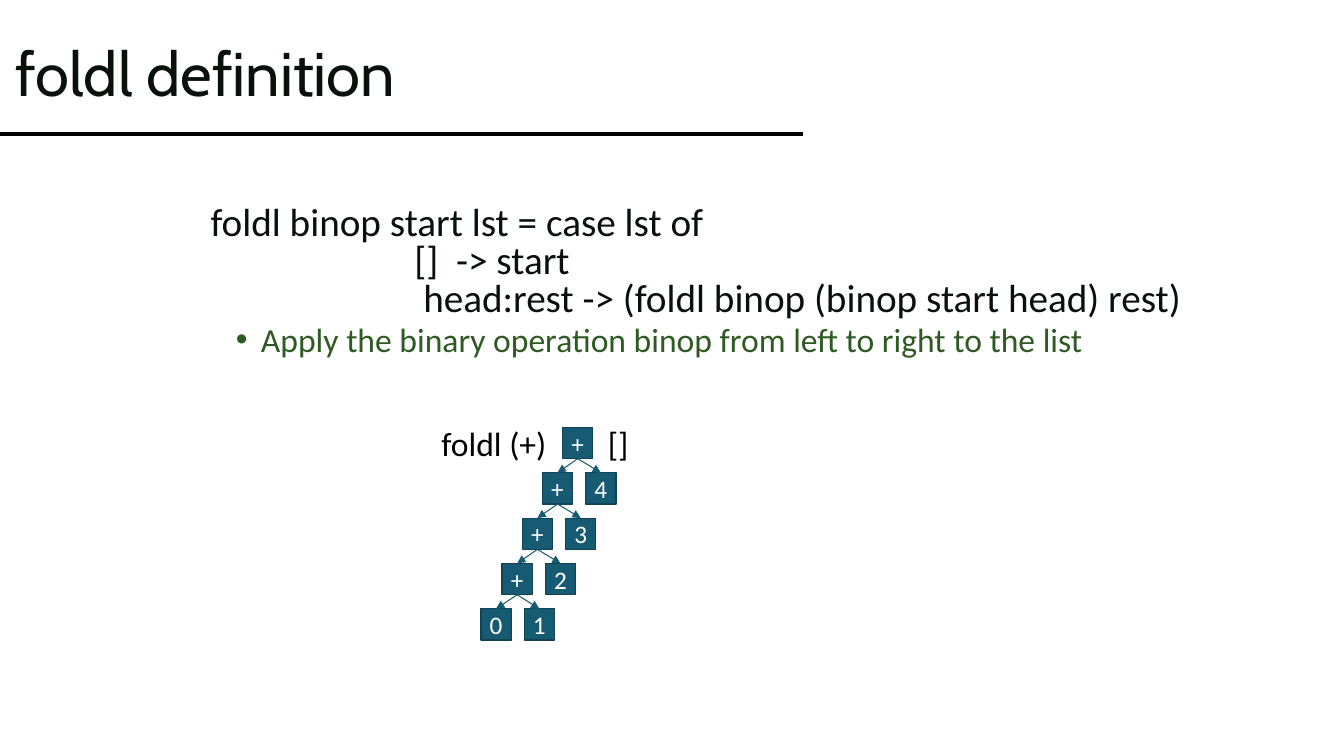
from lxml.etree import SubElement
from pptx import Presentation
from pptx.dml.color import RGBColor
from pptx.enum.shapes import MSO_CONNECTOR, MSO_SHAPE
from pptx.enum.text import MSO_ANCHOR, PP_ALIGN
from pptx.oxml.ns import qn
from pptx.util import Pt

SCALE = 9144
COLORS = {
    "black": "000000", "ink": "08110B", "green": "2F5A24",
    "teal": "175B73", "edge": "114355", "white": "FFFFFF",
}


def px(n):
    return n * SCALE


class Board:
    def __init__(self, slide):
        self.slide = slide
        self.font = "Calibri"

    def color(self, name):
        return RGBColor.from_string(COLORS[name])

    def style(self, para, size, color, font=None):
        for run in para.runs:
            run.font.size = Pt(size)
            run.font.name = font or self.font
            run.font.color.rgb = self.color(color)

    def text(self, box, anchor=MSO_ANCHOR.TOP):
        frame = self.slide.shapes.add_textbox(*map(px, box)).text_frame
        frame.word_wrap = True
        frame.vertical_anchor = anchor
        return frame

    def bullet(self, para, left, hang):
        props = para._p.get_or_add_pPr()
        props.set("marL", str(px(left)))
        props.set("indent", str(-px(hang)))
        if hang:
            SubElement(props, qn("a:buFont")).set("typeface", "Arial")
            SubElement(props, qn("a:buChar")).set("char", "•")

    def tab(self, para, stop):
        tabs = SubElement(para._p.get_or_add_pPr(), qn("a:tabLst"))
        SubElement(tabs, qn("a:tab"), pos=str(px(stop)), algn="l")

    def line(self, start, end, color, width):
        line = self.slide.shapes.add_connector(
            MSO_CONNECTOR.STRAIGHT, *map(px, start + end))
        line.line.color.rgb = self.color(color)
        line.line.width = Pt(width)
        SubElement(line._element.spPr, qn("a:effectLst"))
        return line

    def arrow(self, top, child):
        line = self.line((0, 0), (0, 0), "teal", 0.75)
        line.begin_connect(top, 2)
        line.end_connect(child, 0)
        SubElement(line.line._get_or_add_ln(), qn("a:tailEnd")).set("type", "triangle")

    def node(self, x, y, label):
        node = self.slide.shapes.add_shape(
            MSO_SHAPE.RECTANGLE, px(x), px(y), px(30), px(31))
        node.shadow.inherit = False
        node.fill.solid()
        node.fill.fore_color.rgb = self.color("teal")
        node.line.color.rgb = self.color("edge")
        node.line.width = Pt(0.85)
        frame = node.text_frame
        frame.margin_left = frame.margin_right = 0
        frame.margin_top = frame.margin_bottom = 0
        frame.vertical_anchor = MSO_ANCHOR.MIDDLE
        frame.text = label
        para = frame.paragraphs[0]
        para.alignment = PP_ALIGN.CENTER
        self.style(para, 18, "white")
        return node

    def tree(self, x, y, left, right):
        top = None
        for i, label in enumerate(left):
            col, row = x - 81 * i // 4, y + 45 * i
            node = self.node(col, row, label)
            if top is not None:
                leaf = self.node(col + 43, row, right[i - 1])
                self.arrow(top, node)
                self.arrow(top, leaf)
            top = node


def main():
    deck = Presentation()
    deck.slide_width, deck.slide_height = px(1333), px(750)
    board = Board(deck.slides.add_slide(deck.slide_layouts[6]))

    board.line((0, 133), (796, 133), "black", 2.25)
    title = board.text((6, 3, 843, 145), MSO_ANCHOR.MIDDLE)
    title.text = "foldl definition"
    head = title.paragraphs[0]
    head.line_spacing = 0.9
    board.style(head, 44, "ink", "Cabin")

    body = board.text((174, 200, 1068, 168))
    code = body.paragraphs[0]
    code.text = (
        "foldl binop start lst = case lst of \n"
        "                       []  -> start\n"
        "                        head:rest -> (foldl binop (binop start head) rest)"
    )
    board.bullet(code, 25, 0)
    code.line_spacing = 0.8
    board.style(code, 28, "ink")
    note = body.add_paragraph()
    note.text = "Apply the binary operation binop from left to right to the list"
    note.level = 1
    board.bullet(note, 75, 25)
    note.line_spacing = 0.8
    note.space_before = Pt(5)
    board.style(note, 24, "green")

    board.tree(558, 424, "+++" "+0", "4321")

    call = board.text((428, 415, 206, 50)).paragraphs[0]
    call.text = "foldl (+)\t[]"
    board.tab(call, 165)
    board.style(call, 24, "black")

    deck.save("out.pptx")


if __name__ == "__main__":
    main()
